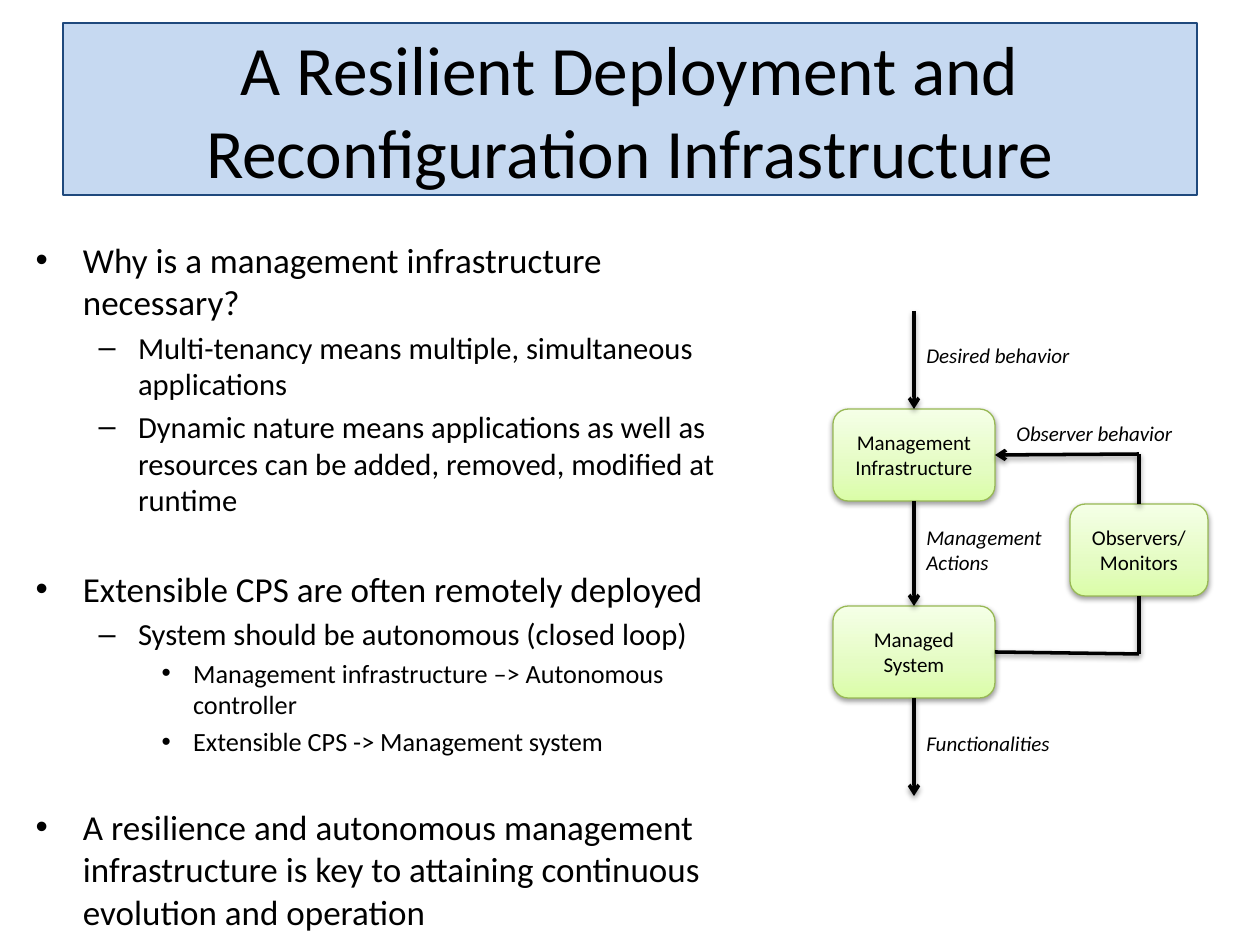
from copy import deepcopy

from lxml.etree import SubElement
from pptx import Presentation
from pptx.dml.color import RGBColor
from pptx.enum.shapes import MSO_CONNECTOR, MSO_SHAPE
from pptx.enum.text import MSO_ANCHOR, MSO_AUTO_SIZE, PP_ALIGN
from pptx.oxml.ns import qn
from pptx.util import Pt

PX = 914400 / 126
FONT = "Calibri"
BLACK = RGBColor(0x00, 0x00, 0x00)
TITLE_FILL = RGBColor(0xC6, 0xD9, 0xF1)
TITLE_LINE = RGBColor(0x1F, 0x49, 0x7D)
NODE_LINE = RGBColor(0x98, 0xB9, 0x55)
NODE_STOPS = [
    (0, RGBColor(0xDA, 0xFD, 0xA7)),
    (0.35, RGBColor(0xE4, 0xFC, 0xC2)),
    (1, RGBColor(0xF5, 0xFF, 0xE7)),
]
LEVEL_SIZES = [20, 17.5, 15]
SECTION_GAP = 28

TITLE = "A Resilient Deployment and Reconfiguration Infrastructure"
SECTIONS = [
    [
        (0, "Why is a management infrastructure necessary?"),
        (1, "Multi-tenancy means multiple, simultaneous applications"),
        (1, "Dynamic nature means applications as well as resources can be "
            "added, removed, modified at runtime"),
    ],
    [
        (0, "Extensible CPS are often remotely deployed"),
        (1, "System should be autonomous (closed loop)"),
        (2, "Management infrastructure –> Autonomous controller"),
        (2, "Extensible CPS -> Management system"),
    ],
    [
        (0, "A resilience and autonomous management infrastructure is key to "
            "attaining continuous evolution and operation"),
    ],
]
NODES = {
    "management": (0, 98, 162, 92, ["Management", "Infrastructure"]),
    "managed": (0, 295, 162, 92, ["Managed", "System"]),
    "observers": (237, 193, 138, 92, ["Observers/", "Monitors"]),
}
LABELS = [
    (81, 25, 186, 38, ["Desired behavior"]),
    (81, 207, 186, 63, ["Management", "Actions"]),
    (81, 413, 156, 38, ["Functionalities"]),
    (171, 103, 186, 38, ["Observer behavior"]),
]
TOP, BOTTOM, RIGHT = 0, 2, 3
LINKS = [
    ((81, 0), ("management", TOP), True),
    (("management", BOTTOM), ("managed", TOP), True),
    (("managed", BOTTOM), (81, 485), True),
    ((306, 143), ("management", RIGHT), True),
    (("observers", TOP), (306, 143), False),
    (("observers", BOTTOM), (306, 343), False),
    (("managed", RIGHT), (306, 343), False),
]


def emu(*lengths):
    """Turn px lengths into EMU."""
    return [round(length * PX) for length in lengths]


def place(shape, box):
    """Move and size a shape to a px box."""
    shape.left, shape.top, shape.width, shape.height = emu(*box)


def add_lines(paragraph, lines, size, italic=None):
    """Add runs to a paragraph with a line break between them."""
    for index, line in enumerate(lines):
        if index:
            paragraph.add_line_break()
        run = paragraph.add_run()
        run.text = line
        run.font.name = FONT
        run.font.size = Pt(size)
        run.font.italic = italic
        run.font.color.rgb = BLACK


def add_shadow(effects):
    """Fill an effect list with the soft shadow of the diagram."""
    shadow = SubElement(effects, qn("a:outerShdw"), blurRad="40000",
                        dist="20000", dir="5400000", rotWithShape="0")
    color = SubElement(shadow, qn("a:srgbClr"), val=str(BLACK))
    SubElement(color, qn("a:alpha"), val="38000")


def fill_title(shape, box):
    """Place the title banner and write its text."""
    place(shape, box)
    shape.fill.solid()
    shape.fill.fore_color.rgb = TITLE_FILL
    shape.line.color.rgb = TITLE_LINE
    shape.line.width = Pt(0.75)
    frame = shape.text_frame
    frame.auto_size = MSO_AUTO_SIZE.NONE
    frame.vertical_anchor = MSO_ANCHOR.MIDDLE
    add_lines(frame.paragraphs[0], [TITLE], 39.6)


def fill_body(shape, box):
    """Place the body list and write its sections."""
    place(shape, box)
    frame = shape.text_frame
    frame.auto_size = MSO_AUTO_SIZE.NONE
    for section_index, section in enumerate(SECTIONS):
        for item_index, (level, text) in enumerate(section):
            if section_index or item_index:
                paragraph = frame.add_paragraph()
            else:
                paragraph = frame.paragraphs[0]
            paragraph.level = level
            if item_index == 0:
                paragraph.space_before = Pt(SECTION_GAP if section_index else 0)
            add_lines(paragraph, [text], LEVEL_SIZES[level])


def add_node(shapes, box, lines):
    """Add a rounded box with gradient, shadow and centred text."""
    node = shapes.add_shape(MSO_SHAPE.ROUNDED_RECTANGLE, *emu(*box))
    node.fill.gradient()
    node.fill.gradient_angle = 90
    stop_list = node._element.spPr.find(qn("a:gradFill")).find(qn("a:gsLst"))
    stop_list.insert(1, deepcopy(stop_list[0]))
    for stop, (position, color) in zip(node.fill.gradient_stops, NODE_STOPS):
        stop.position = position
        stop.color.rgb = color
    node.line.color.rgb = NODE_LINE
    node.line.width = Pt(0.75)
    node.shadow.inherit = False
    add_shadow(node._element.spPr.find(qn("a:effectLst")))
    frame = node.text_frame
    frame.word_wrap = True
    frame.vertical_anchor = MSO_ANCHOR.MIDDLE
    frame.paragraphs[0].alignment = PP_ALIGN.CENTER
    add_lines(frame.paragraphs[0], lines, 12)
    return node


def add_label(shapes, box, lines):
    """Add an italic label beside a connector."""
    frame = shapes.add_textbox(*emu(*box)).text_frame
    frame.word_wrap = True
    add_lines(frame.paragraphs[0], lines, 12, True)


def add_link(shapes, nodes, origin, start, end, arrow):
    """Add a line between node sides or points, with an optional arrowhead."""
    left, top = origin
    points = [(0, 0) if ref[0] in nodes else (left + ref[0], top + ref[1])
              for ref in (start, end)]
    link = shapes.add_connector(MSO_CONNECTOR.STRAIGHT,
                                *emu(*points[0], *points[1]))
    for ref, connect in ((start, link.begin_connect), (end, link.end_connect)):
        if ref[0] in nodes:
            connect(nodes[ref[0]], ref[1])
    link.line.color.rgb = BLACK
    link.line.width = Pt(2)
    if arrow:
        SubElement(link.line._get_or_add_ln(), qn("a:tailEnd"), type="arrow")
    add_shadow(SubElement(link._element.spPr, qn("a:effectLst")))


def add_diagram(slide, origin):
    """Add the control loop diagram with its top left corner at a px point."""
    left, top = origin
    shapes = slide.shapes.add_group_shape().shapes
    nodes = {name: add_node(shapes, (left + x, top + y, width, height), lines)
             for name, (x, y, width, height, lines) in NODES.items()}
    for start, end, arrow in LINKS:
        add_link(shapes, nodes, origin, start, end, arrow)
    for x, y, width, height, lines in LABELS:
        add_label(shapes, (left + x, top + y, width, height), lines)


def main():
    """Build and save the slide."""
    presentation = Presentation()
    presentation.slide_width, presentation.slide_height = emu(1260, 945)
    slide = presentation.slides.add_slide(presentation.slide_layouts[1])
    fill_title(slide.shapes.title, (63, 23, 1134, 172))
    fill_body(slide.placeholders[1], (23, 232, 706, 612))
    add_diagram(slide, (833, 311))
    presentation.save("out.pptx")


if __name__ == "__main__":
    main()
